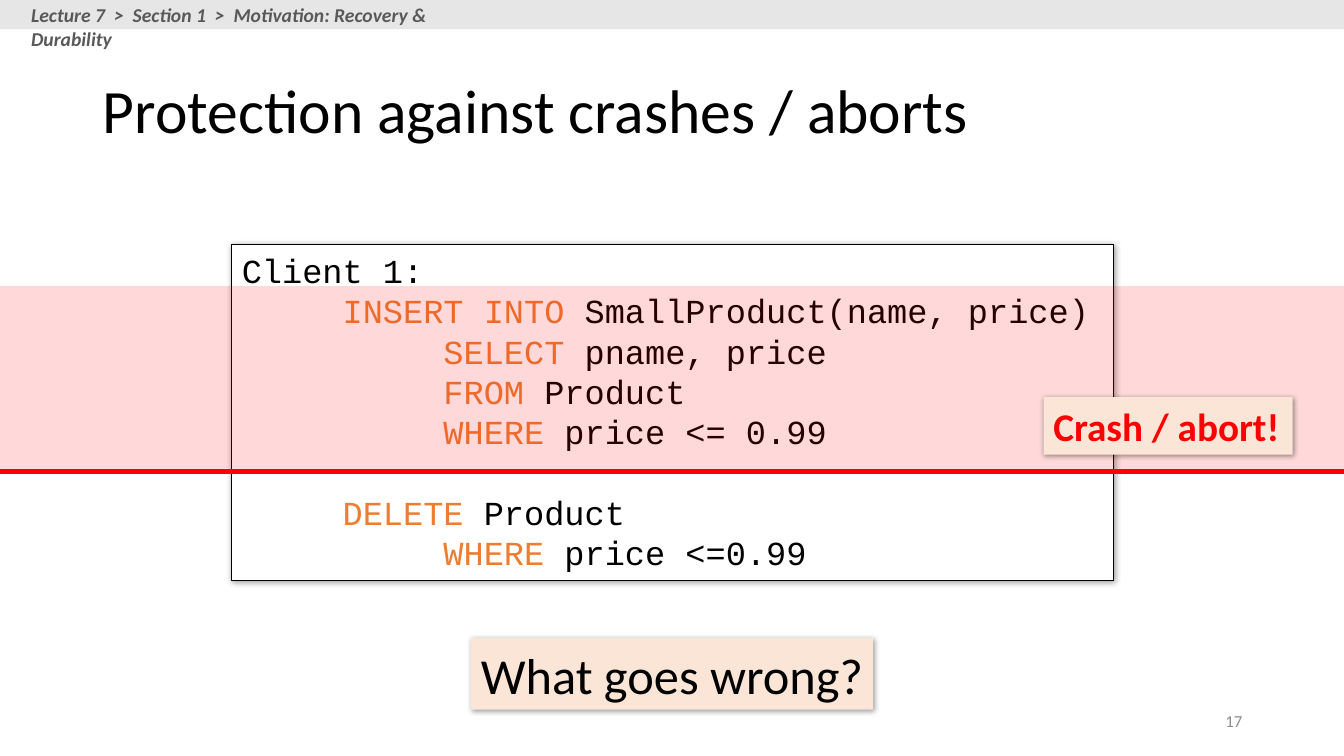
from lxml.etree import SubElement
from pptx import Presentation
from pptx.dml.color import RGBColor
from pptx.enum.shapes import MSO_CONNECTOR as Connector, MSO_SHAPE as Shape
from pptx.enum.text import MSO_ANCHOR as Anchor, PP_ALIGN as Align
from pptx.oxml import parse_xml
from pptx.oxml.ns import nsdecls, qn
from pptx.util import Inches, Pt

COLORS = {"black": "000000", "white": "FFFFFF", "red": "FF0000",
          "keyword": "ED7D31", "callout": "FBE5D6", "bar": "E7E6E6",
          "breadcrumb": "595959", "number": "8C8C8C"}
WIDTH, HEIGHT = 13.33, 7.5
CODE = [
    [[("Client 1:", "black")]],
    [[("\t", "black"), ("INSERT INTO ", "keyword"),
      ("SmallProduct(name, price)", "black")],
     [("\t\t", "black"), ("SELECT ", "keyword"), ("pname, price", "black")],
     [("\t\t", "black"), ("FROM", "keyword"), (" Product", "black")]],
    [[("\t\t", "black"), ("WHERE", "keyword"), (" price <= 0.99", "black")]],
    [[("\t", "black"), ("DELETE", "keyword"), (" Product", "black")],
     [("\t\t", "black"), ("WHERE", "keyword"), (" price <=0.99", "black")]],
]


def rgb(name):
    """Look up a named colour."""
    return RGBColor.from_string(COLORS[name])


def add_run(paragraph, text, size, color="black", font="Calibri", bold=False, italic=False):
    """Append one formatted run."""
    run = paragraph.add_run()
    run.text = text
    run.font.name, run.font.size = font, Pt(size)
    run.font.bold, run.font.italic = bold, italic
    run.font.color.rgb = rgb(color)


def add_tab_stops(paragraph, positions):
    """Set left tab stops at the given inches."""
    stops = SubElement(paragraph._p.get_or_add_pPr(), qn("a:tabLst"))
    for position in positions:
        SubElement(stops, qn("a:tab"), pos=str(Inches(position)), algn="l")


def add_shadow(shape):
    """Give a shape a soft shadow to the lower right."""
    effects = shape._element.spPr.find(qn("a:effectLst"))
    effects.append(parse_xml(
        f'<a:outerShdw {nsdecls("a")} blurRad="{Pt(4)}" dist="{Pt(1)}" dir="2700000" '
        f'algn="tl" rotWithShape="0"><a:srgbClr val="{COLORS["black"]}">'
        '<a:alpha val="40000"/></a:srgbClr></a:outerShdw>'))


def add_box(shapes, box, fill, line=None):
    """Draw a rectangle whose text starts at the top left."""
    shape = shapes.add_shape(Shape.RECTANGLE, *map(Inches, box))
    shape.shadow.inherit = False
    shape.fill.solid()
    shape.fill.fore_color.rgb = rgb(fill)
    if line:
        shape.line.color.rgb = rgb(line)
        shape.line.width = Pt(0.75)
    else:
        shape.line.fill.background()
    shape.text_frame.vertical_anchor = Anchor.TOP
    shape.text_frame.paragraphs[0].alignment = Align.LEFT
    return shape


def add_title(slide, box, text):
    """Place the slide title."""
    title = slide.shapes.title
    title.left, title.top, title.width, title.height = map(Inches, box)
    title.text_frame.vertical_anchor = Anchor.MIDDLE
    paragraph = title.text_frame.paragraphs[0]
    paragraph.alignment, paragraph.line_spacing = Align.LEFT, 0.9
    add_run(paragraph, text, 44)


def add_slide_number(slide, box, number):
    """Place the slide number at the lower right."""
    frame = slide.shapes.add_textbox(*map(Inches, box)).text_frame
    frame.word_wrap, frame.vertical_anchor = True, Anchor.MIDDLE
    frame.paragraphs[0].alignment = Align.RIGHT
    add_run(frame.paragraphs[0], number, 12, "number")


def add_code(slide, box):
    """Show the transaction as highlighted code in a frame."""
    shape = add_box(slide.shapes, box, "white", "black")
    add_shadow(shape)
    frame = shape.text_frame
    for index, lines in enumerate(CODE):
        paragraph = frame.add_paragraph() if index else frame.paragraphs[0]
        paragraph.alignment = Align.LEFT
        if lines is CODE[-1]:
            paragraph.space_before = Pt(28.8)
        add_tab_stops(paragraph, (1, 2))
        for number, line in enumerate(lines):
            if number:
                paragraph.add_line_break()
            for text, color in line:
                add_run(paragraph, text, 24, color, "Courier New")


def add_callout(slide, box, text, size, color="black", bold=False, centered=False):
    """Add a shaded label with a shadow."""
    shape = add_box(slide.shapes, box, "callout")
    add_shadow(shape)
    frame = shape.text_frame
    frame.word_wrap = False
    if centered:
        frame.vertical_anchor = Anchor.MIDDLE
        frame.paragraphs[0].alignment = Align.CENTER
    add_run(frame.paragraphs[0], text, size, color, bold=bold)


def add_crash_zone(slide, box):
    """Tint the executed part and mark the crash with a line under it."""
    left, top, width, height = box
    bottom = top + height
    line = slide.shapes.add_connector(
        Connector.STRAIGHT, *map(Inches, (left, bottom, left + width, bottom)))
    line.line.color.rgb = rgb("red")
    line.line.width = Pt(3.5)
    SubElement(line._element.spPr, qn("a:effectLst"))
    zone = add_box(slide.shapes, box, "red")
    color = zone._element.spPr.find(qn("a:solidFill")).find(qn("a:srgbClr"))
    SubElement(color, qn("a:alpha"), val="15000")


def add_header(slide, box, text):
    """Draw the top bar with its breadcrumb as a group."""
    left, top, _, height = box
    group = slide.shapes.add_group_shape()
    add_box(group.shapes, box, "bar")
    label = (left + 0.21, top - 0.02, 4.92, height + 0.05)
    frame = group.shapes.add_textbox(*map(Inches, label)).text_frame
    frame.word_wrap = True
    add_run(frame.paragraphs[0], text, 14, "breadcrumb", bold=True, italic=True)


def main():
    """Build the slide and save it."""
    presentation = Presentation()
    presentation.slide_width, presentation.slide_height = Inches(WIDTH), Inches(HEIGHT)
    slide = presentation.slides.add_slide(presentation.slide_layouts[5])
    add_slide_number(slide, (9.42, 6.95, 3, 0.4), "17")
    add_title(slide, (0.92, 0.4, 11.5, 1.45), "Protection against crashes / aborts")
    add_code(slide, (2.3, 2.43, 8.74, 3.33))
    add_callout(slide, (4.67, 6.33, 3.99, 0.71), "What goes wrong?", 36, centered=True)
    add_crash_zone(slide, (0, 2.84, WIDTH, 1.84))
    add_callout(slide, (10.35, 3.94, 2.47, 0.57), "Crash / abort!", 28, "red", bold=True)
    add_header(slide, (0, 0, WIDTH, 0.29),
               "Lecture 7  >  Section 1  >  Motivation: Recovery & Durability")
    presentation.save("out.pptx")


if __name__ == "__main__":
    main()
